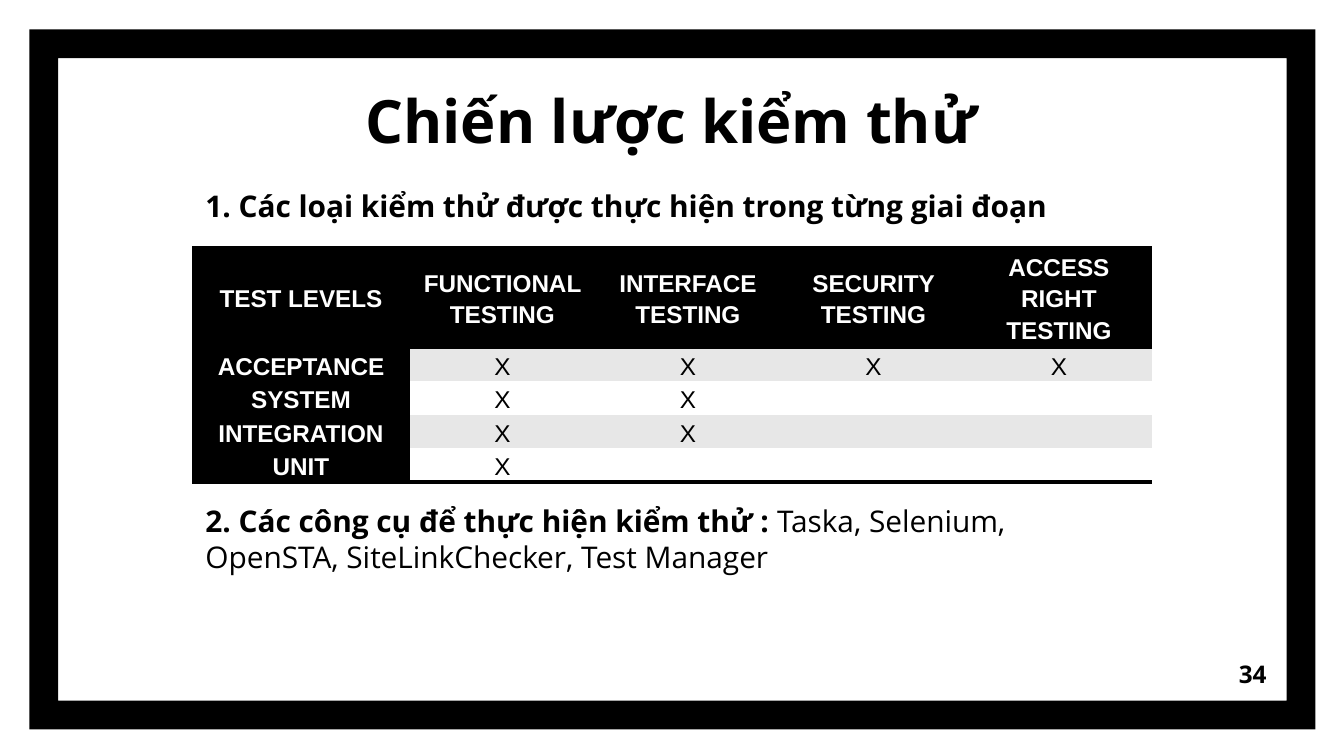
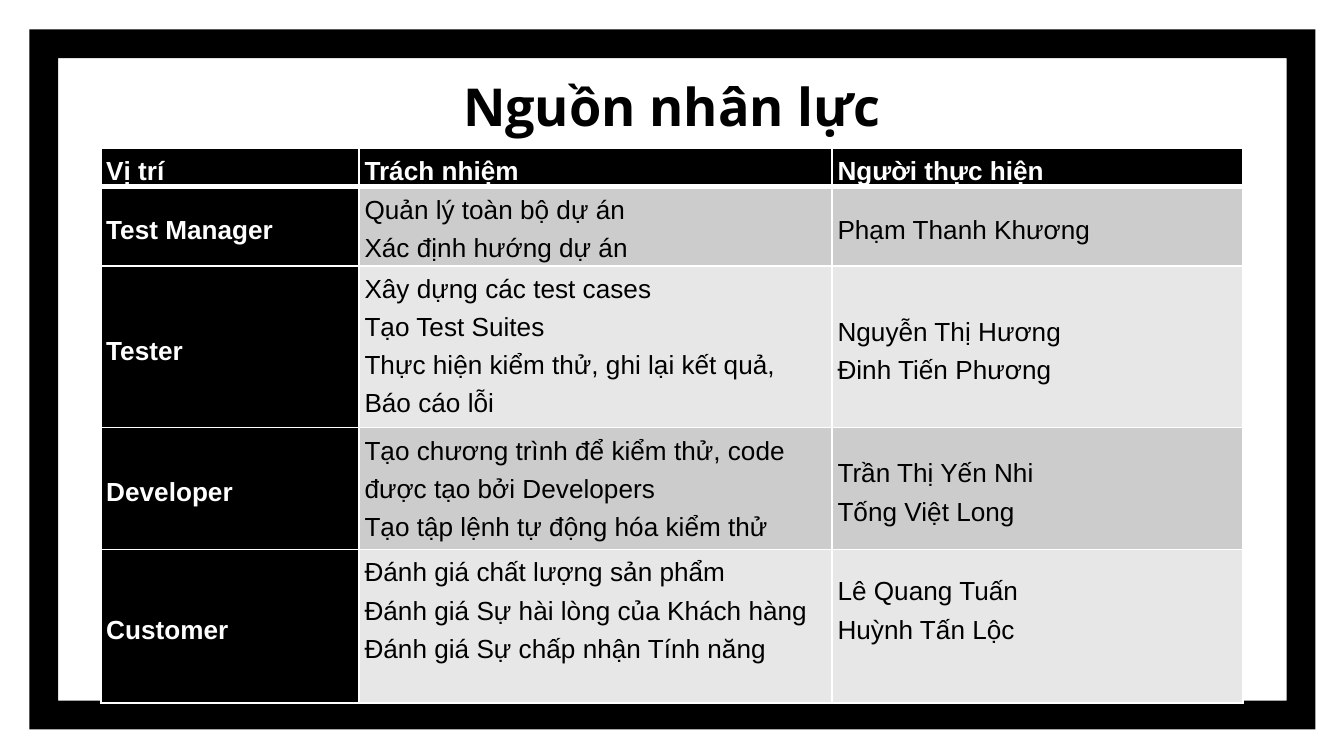
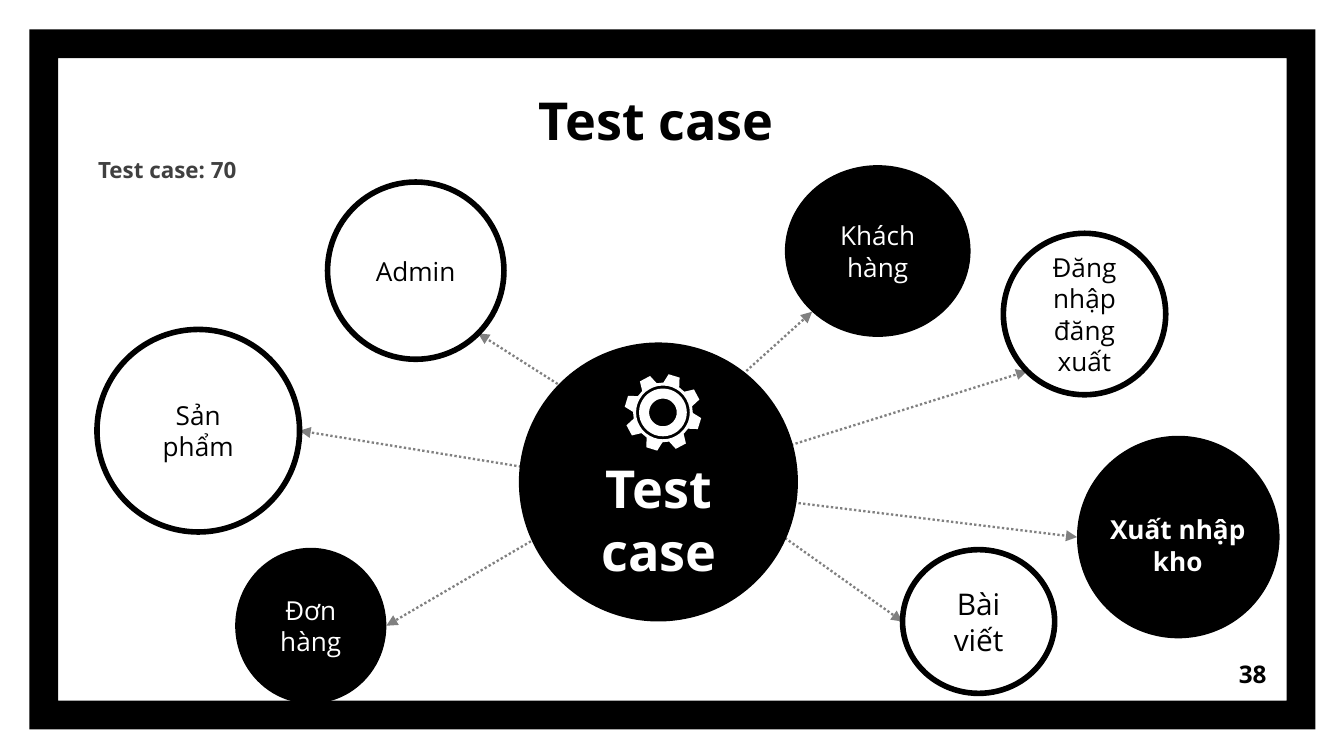
from math import cos, radians, sin

from lxml.etree import SubElement
from pptx import Presentation
from pptx.dml.color import RGBColor
from pptx.enum.dml import MSO_LINE
from pptx.enum.shapes import MSO_CONNECTOR, MSO_SHAPE
from pptx.enum.text import MSO_ANCHOR, MSO_AUTO_SIZE, PP_ALIGN
from pptx.oxml.ns import qn
from pptx.util import Pt

BLACK = RGBColor(0x00, 0x00, 0x00)
WHITE = RGBColor(0xFF, 0xFF, 0xFF)
PALE = RGBColor(0xE7, 0xE7, 0xE7)
SILVER = RGBColor(0xCC, 0xCC, 0xCC)
GRAY = RGBColor(0x80, 0x80, 0x80)
DARK = RGBColor(0x40, 0x40, 0x40)
HEAD = "Open Sans"
BODY = "Arial"
PLAIN = "{2D5ABB26-0587-4C30-8999-92F81FD0307C}"  # table style without grid

LEVELS = [
    ["TEST LEVELS", "FUNCTIONAL TESTING", "INTERFACE TESTING",
     "SECURITY TESTING", "ACCESS RIGHT TESTING"],
    ["ACCEPTANCE", "X", "X", "X", "X"],
    ["SYSTEM", "X", "X", "", ""],
    ["INTEGRATION", "X", "X", "", ""],
    ["UNIT", "X", "", "", ""],
]

ROLES = [
    ["Vị trí", "Trách nhiệm", "Người thực hiện"],
    ["Test Manager", "Quản lý toàn bộ dự án\nXác định hướng dự án",
     "Phạm Thanh Khương"],
    ["Tester",
     "Xây dựng các test cases\nTạo Test Suites\n"
     "Thực hiện kiểm thử, ghi lại kết quả, Báo cáo lỗi",
     "Nguyễn Thị Hương\nĐinh Tiến Phương"],
    ["Developer",
     "Tạo chương trình để kiểm thử, code được tạo bởi Developers\n"
     "Tạo tập lệnh tự động hóa kiểm thử",
     "Trần Thị Yến Nhi\nTống Việt Long"],
    ["Customer",
     "Đánh giá chất lượng sản phẩm\nĐánh giá Sự hài lòng của Khách hàng\n"
     "Đánh giá Sự chấp nhận Tính năng",
     "Lê Quang Tuấn\nHuỳnh Tấn Lộc"],
]

# text, box, filled, text size, arrow start, angle of the arrow's end
BUBBLES = [
    ("Khách hàng", (420.5, 88.5, 99.5, 92), True, 14, (353.5, 240.5), 135),
    ("Đăng nhập đăng xuất", (537.5, 125, 87, 86.5), False, 14,
     (350, 261.5), 135),
    ("Bài\nviết", (483.5, 294.5, 81.5, 77), False, 16, (353.5, 240.5), 180),
    ("", (577, 233.5, 108.5, 108.5), True, 14, (353.5, 260.5), 180),
    ("Admin", (175.5, 97.5, 94.5, 95), False, 14, (353.5, 240.5), 45),
    ("Sản phẩm", (52, 176.5, 108.5, 108.5), False, 14, (353, 262), 0),
    ("Đơn hàng", (126, 293.5, 81, 83.5), True, 14, (355.5, 248.5), 0),
]


def pts(values):
    return [Pt(v) for v in values]


def style(frame, size, color, bold=False, align=None, font=HEAD):
    for para in frame.paragraphs:
        para.alignment = align
        for run in para.runs:
            face = run.font
            face.name, face.size, face.bold = font, Pt(size), bold
            face.color.rgb = color


def inset(frame, gap):
    frame.margin_left = frame.margin_right = Pt(gap)
    frame.margin_top = frame.margin_bottom = Pt(gap)


def label(slide, text, box, size, color=BLACK, align=PP_ALIGN.LEFT,
          anchor=MSO_ANCHOR.MIDDLE):
    frame = slide.shapes.add_textbox(*pts(box)).text_frame
    frame.word_wrap = True
    frame.vertical_anchor = anchor
    frame.text = text
    style(frame, size, color, True, align)
    return frame


def number(slide, text):
    inset(label(slide, text, (642, 345.5, 43.5, 31), 13,
                align=PP_ALIGN.RIGHT), 7.2)


def paint(shape, fill, line=None):
    shape.shadow.inherit = False
    shape.fill.solid()
    shape.fill.fore_color.rgb = fill
    if line is None:
        shape.line.fill.background()
    else:
        shape.line.color.rgb = line
        shape.line.width = Pt(3)


def border(layout, slide):
    """Draw the black frame and hand it to the layout that all slides share."""
    frame = slide.shapes.add_shape(MSO_SHAPE.FRAME,
                                   *pts((15.75, 15.75, 689, 375)))
    frame.adjustments[0] = 0.041
    paint(frame, BLACK)
    frame.element.nvSpPr.cNvPr.set("id", "20")
    layout.shapes.element.insert(2, frame.element)


def page(deck, text, box, size):
    """Add a title-only slide with its title in place."""
    slide = deck.slides.add_slide(deck.slide_layouts[5])
    title = slide.shapes.title
    title.left, title.top, title.width, title.height = pts(box)
    frame = title.text_frame
    frame.text = text
    frame.auto_size = MSO_AUTO_SIZE.NONE
    frame.word_wrap = True
    frame.vertical_anchor = MSO_ANCHOR.BOTTOM
    inset(frame, 7.2)
    style(frame, size, BLACK, True, PP_ALIGN.CENTER)
    return slide


def edge(cell, side, color, width):
    line = SubElement(cell._tc.get_or_add_tcPr(), qn("a:ln" + side),
                      w=str(Pt(width)))
    fill = SubElement(line, qn("a:solidFill"))
    SubElement(fill, qn("a:srgbClr"), val=str(color))


def grid(slide, box, cols, rows):
    table = slide.shapes.add_table(len(rows), len(cols), *pts(box)).table
    table._tbl.tblPr.find(qn("a:tableStyleId")).text = PLAIN
    for col, width in zip(table.columns, cols):
        col.width = Pt(width)
    for row, height in zip(table.rows, rows):
        row.height = Pt(height)
    return table


def write(cell, text, size, fill, strong, space, gap, align):
    """Fill one table cell; strong cells have bold white text on black."""
    cell.margin_left = cell.margin_right = Pt(gap)
    cell.margin_top = cell.margin_bottom = 0
    cell.vertical_anchor = MSO_ANCHOR.MIDDLE
    cell.fill.solid()
    cell.fill.fore_color.rgb = BLACK if strong else fill
    frame = cell.text_frame
    frame.text = text
    style(frame, size, WHITE if strong else BLACK, strong, align, BODY)
    for para in frame.paragraphs:
        para.line_spacing = space
        if not text:
            SubElement(para._p, qn("a:endParaRPr"), sz=str(size * 100))


def levels(slide):
    table = grid(slide, (103, 132.5, 514, 125), [116.4] + [99.4] * 4,
                 [51.2] + [15.84] * 4)
    for r, row in enumerate(LEVELS):
        for c, text in enumerate(row):
            cell = table.cell(r, c)
            if r == 0:
                edge(cell, "T", BLACK, 2)
            if r in (0, len(LEVELS) - 1):
                edge(cell, "B", BLACK, 2)
            write(cell, text, 13, PALE if r % 2 else WHITE,
                  r == 0 or c == 0, 1.15, 5.4, PP_ALIGN.CENTER)


def roles(slide):
    table = grid(slide, (54, 79.5, 612, 301), [138.4, 253.4, 220.2],
                 [20.2, 42.5, 86.6, 65.3, 82.2])
    for r, row in enumerate(ROLES):
        for c, text in enumerate(row):
            cell = table.cell(r, c)
            for side in "LRTB":
                thick = (r, side) in ((0, "B"), (1, "T"))
                edge(cell, side, WHITE, 3 if thick else 1)
            write(cell, text, 14, SILVER if r % 2 else PALE,
                  r == 0 or c == 0, 1.3, 2.9, PP_ALIGN.LEFT)
            if r == 0 or c == 1:
                cell.vertical_anchor = MSO_ANCHOR.TOP
    table.cell(4, 2).margin_bottom = Pt(21)


def circle(slide, text, box, filled, size):
    shape = slide.shapes.add_shape(MSO_SHAPE.OVAL, *pts(box))
    paint(shape, BLACK if filled else WHITE, None if filled else BLACK)
    if text:
        frame = shape.text_frame
        frame.word_wrap = True
        frame.vertical_anchor = MSO_ANCHOR.MIDDLE
        frame.text = text
        style(frame, size, WHITE if filled else BLACK, align=PP_ALIGN.CENTER)


def arrow(slide, start, box, angle):
    """Draw a dotted arrow to the rim of the ellipse in box."""
    left, top, width, height = box
    turn = radians(angle)
    end = (left + width / 2 * (1 + cos(turn)),
           top + height / 2 * (1 + sin(turn)))
    link = slide.shapes.add_connector(MSO_CONNECTOR.STRAIGHT,
                                      *pts(start + end))
    link.line.color.rgb = GRAY
    link.line.width = Pt(1.25)
    link.line.dash_style = MSO_LINE.ROUND_DOT
    SubElement(link.line._get_or_add_ln(), qn("a:tailEnd"), type="triangle")
    SubElement(link.element.spPr, qn("a:effectLst"))


def gear(slide, x, y):
    def spot(radius, angle):
        turn = radians(angle)
        return Pt(x + radius * cos(turn)), Pt(y + radius * sin(turn))

    tooth = [(16, -16), (20.7, -8.5), (20.7, 8.5), (16, 16)]
    rims = [[spot(radius, 45 * k - 73 + turn)
             for k in range(8) for radius, turn in tooth]]
    for radius in (14.4, 12.8, 7.4):
        rims.append([spot(radius, a) for a in range(0, 360, 10)])
    pen = slide.shapes.build_freeform(*rims[0][0])
    for k, rim in enumerate(rims):
        if k:
            pen.move_to(*rim[0])
        pen.add_line_segments(rim[1:], close=True)
    paint(pen.convert_to_shape(), WHITE)


def strategy(deck):
    slide = page(deck, "Chiến lược kiểm thử", (138, 39.5, 443.5, 51), 32)
    border(deck.slide_layouts[5], slide)
    number(slide, "34")
    levels(slide)
    label(slide, "1. Các loại kiểm thử được thực hiện trong từng giai đoạn",
          (103, 97, 468, 26.5), 16, anchor=MSO_ANCHOR.TOP)
    tools = label(slide, "2. Các công cụ để thực hiện kiểm thử : ",
                  (103, 265.7, 468, 65.5), 16, anchor=MSO_ANCHOR.TOP)
    run = tools.paragraphs[0].add_run()
    run.text = "Taska, Selenium, OpenSTA, SiteLinkChecker, Test Manager"
    run.font.name, run.font.size, run.font.bold = HEAD, Pt(16), False
    run.font.color.rgb = BLACK


def staff(deck):
    roles(page(deck, "Nguồn nhân lực", (138, 39.5, 443.5, 41), 28))


def cases(deck):
    slide = page(deck, "Test case", (229.5, 44.5, 244, 43.5), 28)
    number(slide, "38")
    for text, box, filled, size, start, angle in BUBBLES:
        arrow(slide, start, box, angle)
        circle(slide, text, box, filled, size)
    label(slide, "Xuất nhập kho", (579.5, 271.5, 103, 41), 14, WHITE,
          PP_ALIGN.CENTER)
    circle(slide, "", (278, 183.5, 149.5, 149.5), True, 28)
    gear(slide, 355.2, 221)
    label(slide, "Test case", (299.5, 240.5, 107, 75), 28, WHITE,
          PP_ALIGN.CENTER)
    label(slide, "Test case: 70", (45.5, 80, 612, 21.5), 12, DARK)


def main():
    deck = Presentation()
    deck.slide_width, deck.slide_height = Pt(720), Pt(405)
    strategy(deck)
    staff(deck)
    cases(deck)
    deck.save("out.pptx")


if __name__ == "__main__":
    main()
